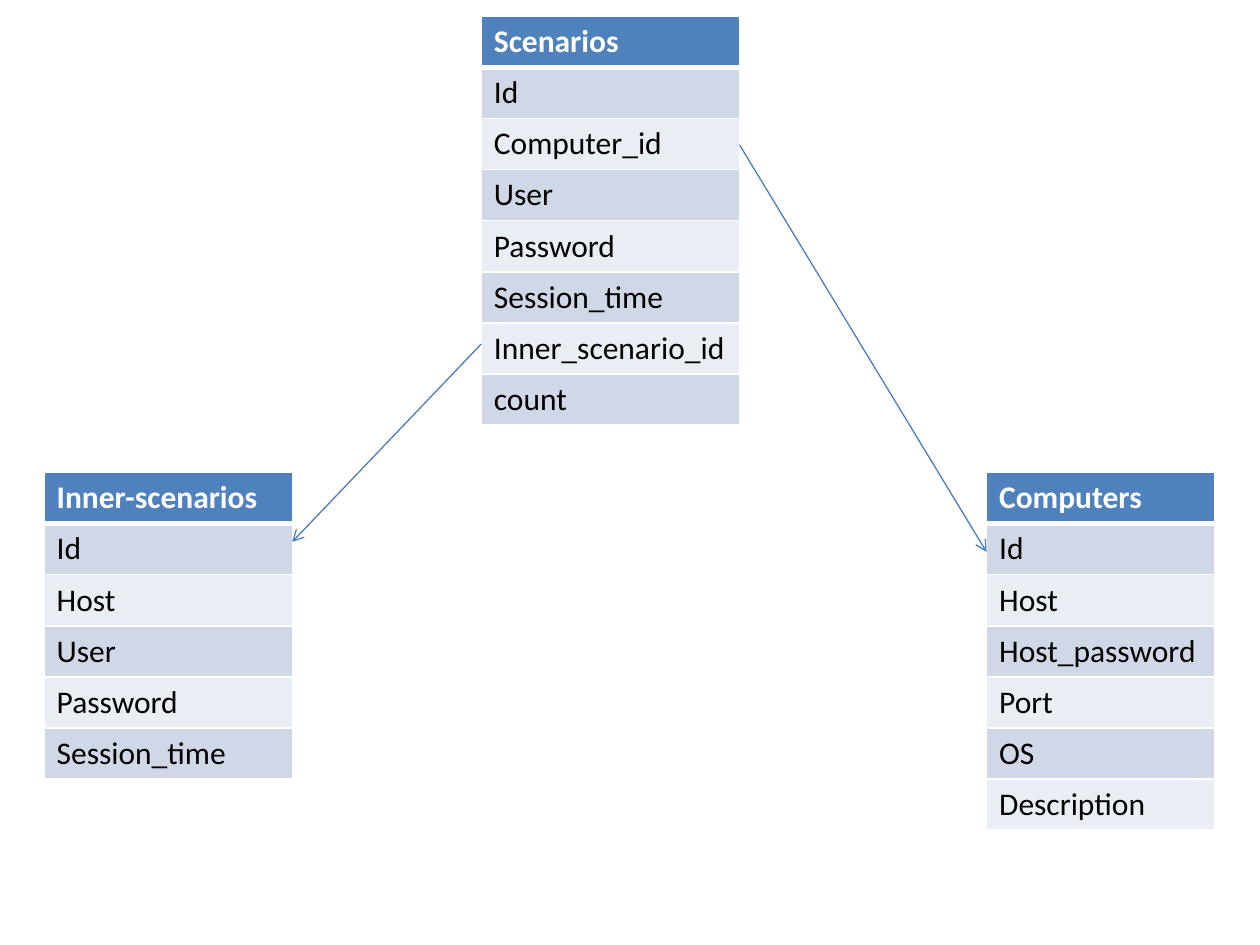
"""Build a slide with three linked database tables."""
from lxml import etree
from pptx import Presentation
from pptx.dml.color import RGBColor
from pptx.enum.shapes import MSO_CONNECTOR
from pptx.oxml.ns import qn
from pptx.util import Inches, Pt

STRAIGHT = MSO_CONNECTOR.STRAIGHT
WHITE = RGBColor(0xFF, 0xFF, 0xFF)
BLACK = RGBColor(0x00, 0x00, 0x00)
HEADER_BLUE = RGBColor(0x4F, 0x81, 0xBD)
BANDS = (RGBColor(0xE9, 0xED, 0xF4), RGBColor(0xD0, 0xD8, 0xE8))
LINK_BLUE = RGBColor(0x4B, 0x7E, 0xBC)
ROW_HEIGHT = 0.4
THIN, THICK = 1, 3

TABLES = [
    ("Computers", 7.83, 3.75, 1.81,
     ["Id", "Host", "Host_password", "Port", "OS", "Description"]),
    ("Inner-scenarios", 0.35, 3.75, 1.97,
     ["Id", "Host", "User", "Password", "Session_time"]),
    ("Scenarios", 3.82, 0.13, 2.05,
     ["Id", "Computer_id", "User", "Password", "Session_time",
      "Inner_scenario_id", "count"]),
]
LINKS = [
    ((3.82, 2.73), (2.32, 4.3)),
    ((5.87, 1.15), (7.83, 4.38)),
]


def add_borders(cell, widths):
    properties = cell._tc.get_or_add_tcPr()
    for side, width in widths.items():
        line = etree.SubElement(properties, qn(f"a:ln{side}"), w=str(Pt(width)))
        fill = etree.SubElement(line, qn("a:solidFill"))
        etree.SubElement(fill, qn("a:srgbClr"), val=str(WHITE))


def fill_cell(cell, text, index):
    is_header = index == 0
    add_borders(cell, {
        "L": THIN,
        "R": THIN,
        "T": THICK if index == 1 else THIN,
        "B": THICK if is_header else THIN,
    })
    cell.fill.solid()
    cell.fill.fore_color.rgb = HEADER_BLUE if is_header else BANDS[index % 2]
    cell.text = text
    font = cell.text_frame.paragraphs[0].runs[0].font
    for name, value in {"name": "Calibri", "size": Pt(18), "bold": is_header}.items():
        setattr(font, name, value)
    font.color.rgb = WHITE if is_header else BLACK


def add_entity(page, title, left, top, width, fields):
    rows = [title, *fields]
    table = page.shapes.add_table(
        len(rows), 1, Inches(left), Inches(top),
        Inches(width), Inches(ROW_HEIGHT * len(rows))).table
    for index, text in enumerate(rows):
        fill_cell(table.cell(index, 0), text, index)


def add_link(page, start, end):
    link = page.shapes.add_connector(STRAIGHT, *map(Inches, start + end))
    link.line.color.rgb = LINK_BLUE
    link.line.width = Pt(0.75)
    etree.SubElement(link.line._get_or_add_ln(), qn("a:tailEnd"), type="arrow")
    etree.SubElement(link._element.spPr, qn("a:effectLst"))


def main():
    deck = Presentation()
    deck.slide_width, deck.slide_height = Inches(10), Inches(7.5)
    page = deck.slides.add_slide(deck.slide_layouts[6])
    for entity in TABLES:
        add_entity(page, *entity)
    for start, end in LINKS:
        add_link(page, start, end)
    deck.save("out.pptx")


if __name__ == "__main__":
    main()
